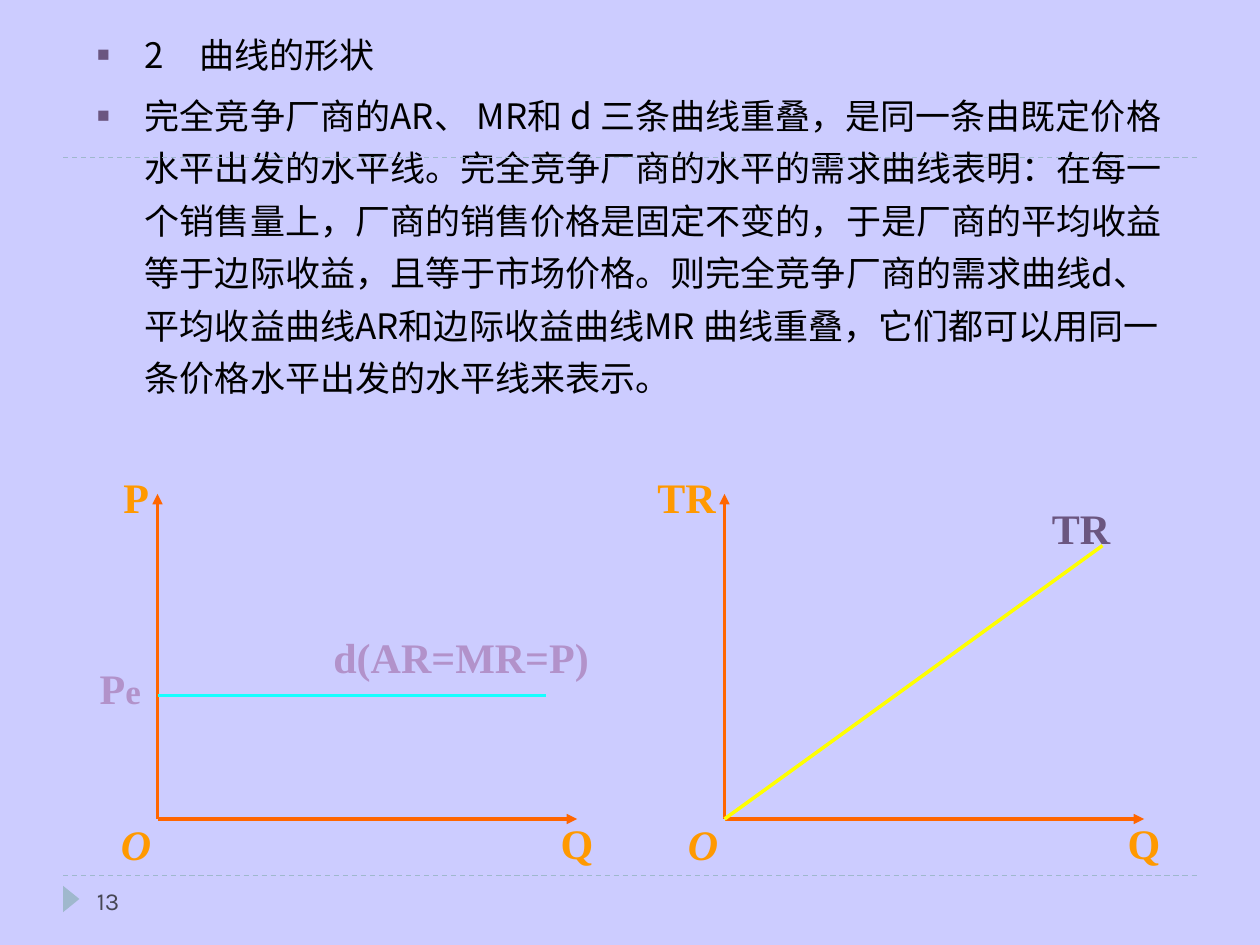
from lxml import etree
from pptx import Presentation
from pptx.dml.color import RGBColor
from pptx.enum.dml import MSO_LINE
from pptx.enum.shapes import MSO_CONNECTOR, MSO_SHAPE
from pptx.enum.text import MSO_ANCHOR, MSO_AUTO_SIZE, PP_ALIGN
from pptx.oxml.ns import qn
from pptx.util import Inches, Pt

DASH = MSO_LINE.DASH
STRAIGHT = MSO_CONNECTOR.STRAIGHT
TRIANGLE = MSO_SHAPE.ISOSCELES_TRIANGLE
TOP, MIDDLE = MSO_ANCHOR.TOP, MSO_ANCHOR.MIDDLE
NO_FIT = MSO_AUTO_SIZE.NONE
LEFT, CENTER = PP_ALIGN.LEFT, PP_ALIGN.CENTER

COLORS = {
    "background": "CCCCFF", "rule": "9FB8CD", "number": "464653",
    "body": "000000", "bullet": "6B5680", "axis": "FF6600",
    "axis_label": "FF9900", "demand": "15FFFF", "demand_label": "B292CA",
    "revenue": "FFFF00", "revenue_label": "6B5680",
}
BODY_FONT, LABEL_FONT, NUMBER_FONT = "Noto Sans CJK SC", "Times New Roman", "Karla"


def color(name):
    return RGBColor.from_string(COLORS[name])


def apply(target, values):
    for attribute, value in values.items():
        setattr(target, attribute, value)


def add_xml(parent, tag, **attributes):
    return etree.SubElement(parent, qn(tag), attributes)


class SlideBuilder:
    label_frame = {
        "margin_left": Inches(0.28), "margin_right": Inches(0.04),
        "margin_top": 0, "margin_bottom": Inches(0.17),
        "word_wrap": True, "vertical_anchor": TOP,
    }
    label_font = {"name": LABEL_FONT, "bold": True}

    def __init__(self, slide):
        self.slide = slide
        fill = slide.background.fill
        fill.solid()
        fill.fore_color.rgb = color("background")

    def line(self, start, end, color_name, width, dash=None, arrow=False):
        points = [Inches(value) for value in (*start, *end)]
        connector = self.slide.shapes.add_connector(STRAIGHT, *points)
        connector.line.color.rgb = color(color_name)
        connector.line.width = Pt(width)
        if dash:
            connector.line.dash_style = dash
        if arrow:
            add_xml(connector.line._get_or_add_ln(), "a:tailEnd", type="triangle")
        add_xml(connector._element.spPr, "a:effectLst")

    def marker(self, box, rotation, color_name):
        shape = self.slide.shapes.add_shape(TRIANGLE, *map(Inches, box))
        shape.rotation = rotation
        shape.shadow.inherit = False
        shape.fill.solid()
        shape.fill.fore_color.rgb = color(color_name)
        shape.line.fill.background()

    def label(self, box, runs, color_name, italic=False):
        frame = self.slide.shapes.add_textbox(*map(Inches, box)).text_frame
        apply(frame, self.label_frame)
        paragraph = frame.paragraphs[0]
        apply(paragraph, {"alignment": CENTER, "line_spacing": 1.4})
        for text, size in runs:
            run = paragraph.add_run()
            run.text = text
            apply(run.font, {**self.label_font, "size": Pt(size), "italic": italic})
            run.font.color.rgb = color(color_name)

    def page_number(self, box, text):
        frame = self.slide.shapes.add_textbox(*map(Inches, box)).text_frame
        apply(frame, {"word_wrap": True, "vertical_anchor": MIDDLE})
        run = frame.paragraphs[0].add_run()
        run.text = text
        apply(run.font, {"name": NUMBER_FONT, "size": Pt(14)})
        run.font.color.rgb = color("number")

    def bullets(self, box, texts):
        body = self.slide.placeholders[1]
        apply(body, dict(zip(("left", "top", "width", "height"), map(Inches, box))))
        frame = body.text_frame
        apply(frame, {"word_wrap": True, "auto_size": NO_FIT, "vertical_anchor": TOP})
        for index, text in enumerate(texts):
            paragraph = frame.add_paragraph() if index else frame.paragraphs[0]
            properties = paragraph._p.get_or_add_pPr()
            properties.set("marL", str(Inches(0.38)))
            properties.set("indent", str(-Inches(0.38)))
            bullet_color = add_xml(properties, "a:buClr")
            add_xml(bullet_color, "a:srgbClr", val=COLORS["bullet"])
            add_xml(properties, "a:buSzPct", val="60000")
            add_xml(properties, "a:buChar", char="■")
            apply(paragraph, {
                "alignment": LEFT, "line_spacing": 1.25,
                "space_before": Pt(5 if index else 0),
            })
            run = paragraph.add_run()
            run.text = text
            apply(run.font, {"name": BODY_FONT, "size": Pt(20)})
            run.font.color.rgb = color("body")
            add_xml(run._r.get_or_add_rPr(), "a:ea", typeface=BODY_FONT)

    def axes(self, origin_x, vertical_name, name_width):
        origin = (origin_x, 6.5)
        for end in ((origin_x, 3.92), (origin_x + 3.33, 6.5)):
            self.line(origin, end, "axis", 1.75, arrow=True)
        name_left = origin_x + (0.08 if name_width == 1 else 0) - name_width
        for left, top, width, text in (
            (origin_x + 2.92, 6.33, 0.58, "Q"),
            (name_left, 3.58, name_width, vertical_name),
            (origin_x - 0.58, 6.34, 0.58, "O"),
        ):
            self.label((left, top, width, 0.73), [(text, 24)], "axis_label",
                       italic=text == "O")


def main():
    presentation = Presentation()
    presentation.slide_width = Inches(10)
    presentation.slide_height = Inches(7.5)
    slide = presentation.slides.add_slide(presentation.slide_layouts[1])
    title = slide.shapes.title._element
    title.getparent().remove(title)
    builder = SlideBuilder(slide)

    # Rules and page number
    for rule_y in (6.95, 1.25):
        builder.line((0.5, rule_y), (9.5, rule_y), "rule", 0.75, dash=DASH)
    builder.marker((0.46, 7.07, 0.21, 0.13), 90, "rule")
    builder.page_number((0.67, 6.95, 2.17, 0.4), "13")

    # Explanation
    builder.bullets((0.67, 0.13, 8.67, 2.91), [
        "2　曲线的形状",
        "完全竞争厂商的AR、 MR和 d 三条曲线重叠，是同一条由既定价格水平出发的水平线。"
        "完全竞争厂商的水平的需求曲线表明：在每一个销售量上，厂商的销售价格是固定不变的，"
        "于是厂商的平均收益等于边际收益，且等于市场价格。则完全竞争厂商的需求曲线d、"
        "平均收益曲线AR和边际收益曲线MR 曲线重叠，它们都可以用同一条价格水平出发的水平线来表示。",
    ])

    # Axes of both diagrams
    builder.axes(1.25, "P", 0.58)
    builder.axes(5.75, "TR", 1)

    # Demand curve
    builder.line((1.25, 5.52), (4.33, 5.52), "demand", 2)
    builder.label((2.33, 4.85, 2.42, 0.73), [("d(AR=MR=P)", 24)], "demand_label")

    # Total revenue curve
    builder.line((5.75, 6.5), (8.75, 4.33), "revenue", 2)
    builder.label((7.25, 3.83, 2.42, 0.73), [("TR", 24)], "revenue_label")

    # Equilibrium price
    builder.label((0.42, 5.1, 0.83, 0.73), [("P", 24), ("e", 20)], "demand_label")

    presentation.save("out.pptx")


if __name__ == "__main__":
    main()
